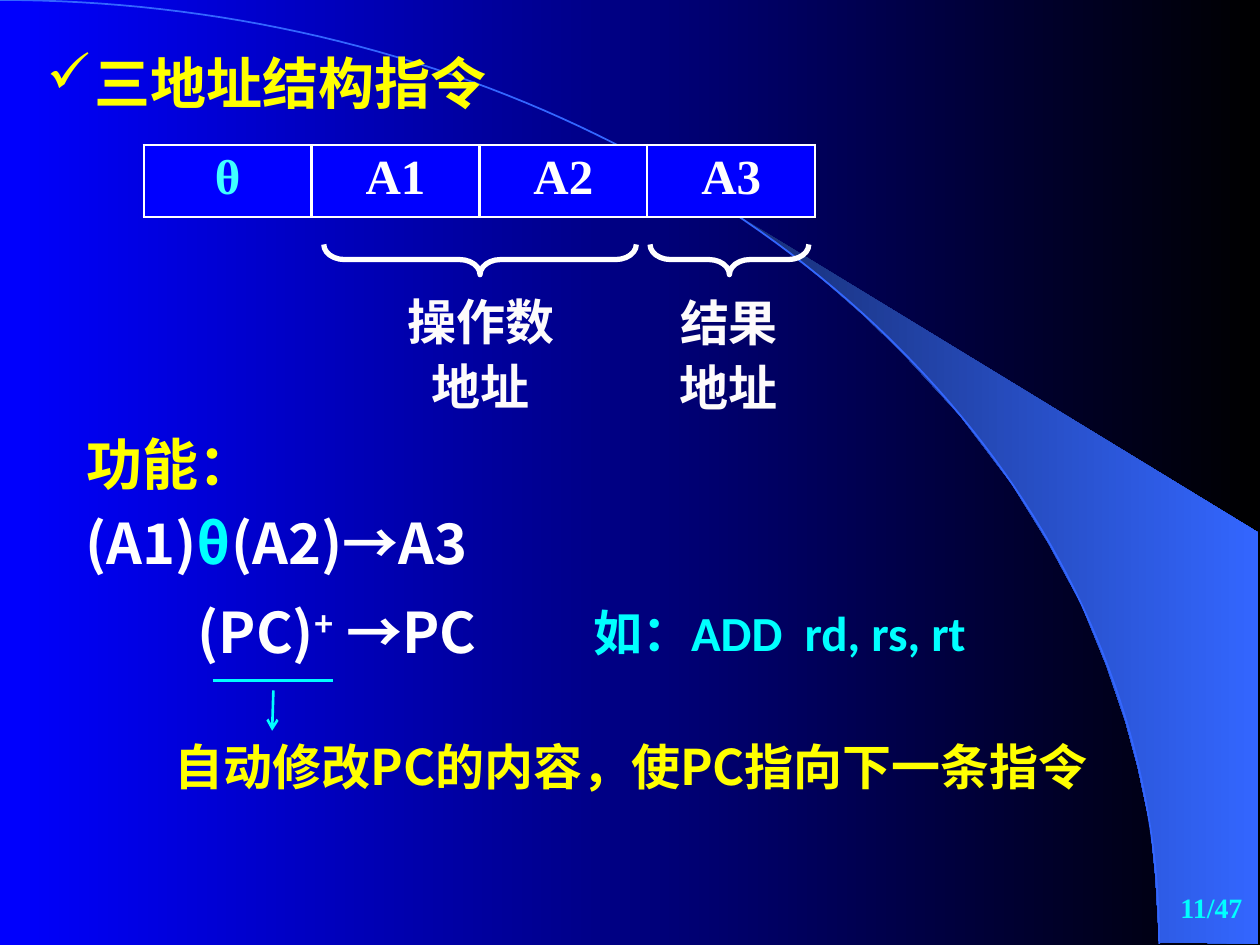
from math import cos, pi, sin

from lxml.etree import SubElement
from pptx import Presentation
from pptx.dml.color import RGBColor
from pptx.enum.shapes import MSO_CONNECTOR, MSO_SHAPE
from pptx.enum.text import MSO_ANCHOR as Anchor, MSO_AUTO_SIZE as AutoSize, PP_ALIGN as Align
from pptx.oxml.ns import qn
from pptx.util import Inches, Pt

SANS, SERIF = "Noto Sans CJK SC", "Times New Roman"
BLUE, SKY, WHITE, YELLOW, CYAN = "0000FF", "3366FF", "FFFFFF", "FFFF00", "00FFFF"
WEDGE = [(9.2, 7.48), (9.99, 7.49), (9.99, 4.23), (5.89, 1.73), (6.24, 1.99), (6.53, 2.22),
         (6.85, 2.5), (7.16, 2.8), (7.62, 3.3), (8.03, 3.84), (8.32, 4.31), (8.58, 4.79),
         (8.78, 5.28), (8.93, 5.72), (9.03, 6.09), (9.13, 6.56), (9.17, 6.96), (9.2, 7.48)]


def rgb(value):
    """Turn a hex string into a colour."""
    return RGBColor.from_string(value)


def set_gradient(fill, start, end):
    """Fill from left to right with two colours."""
    fill.gradient()
    fill.gradient_angle = 0
    for stop, position, value in zip(fill.gradient_stops, (0, 1), (start, end)):
        stop.position = position
        stop.color.rgb = rgb(value)


def set_line(shape, color, width):
    """Give a shape a plain outline."""
    shape.line.color.rgb = rgb(color)
    shape.line.width = Pt(width)


def style_paragraph(para, size, color, name=SANS, align=Align.LEFT, spacing=1.0):
    """Format a whole paragraph in bold."""
    para.alignment = align
    para.line_spacing = spacing
    para.space_before = Pt(0)
    font = para.font
    font.size, font.bold, font.name = Pt(size), True, name
    font.color.rgb = rgb(color)
    latin = para._p.pPr.find(qn("a:defRPr")).find(qn("a:latin"))
    latin.addnext(latin.makeelement(qn("a:ea"), {"typeface": SANS}))


def set_frame(frame, anchor=Anchor.TOP):
    """Wrap a text frame at its fixed size."""
    frame.word_wrap = True
    frame.auto_size = AutoSize.NONE
    frame.vertical_anchor = anchor


def add_text(page, place, texts, size, color, anchor=Anchor.TOP, **style):
    """Add a one-paragraph text box and return its runs."""
    frame = page.shapes.add_textbox(*map(Inches, place)).text_frame
    set_frame(frame, anchor)
    para = frame.paragraphs[0]
    for text in texts:
        para.add_run().text = text
    style_paragraph(para, size, color, **style)
    return para.runs


def add_heading(page, text):
    """Format the title as a ticked heading in front of the backdrop."""
    title = page.shapes.title
    title.left, title.top, title.width, title.height = map(Inches, (0.27, 0.28, 5.42, 0.69))
    set_frame(title.text_frame)
    title.text_frame.text = text
    para = title.text_frame.paragraphs[0]
    props = para._p.get_or_add_pPr()
    props.set("marL", str(Inches(0.38)))
    props.set("indent", str(Inches(-0.38)))
    SubElement(SubElement(props, qn("a:buClr")), qn("a:srgbClr"), val=YELLOW)
    SubElement(props, qn("a:buChar"), char="✓")
    style_paragraph(para, 32, YELLOW, spacing=1.1)
    page.shapes._spTree.append(title._element)


def add_outline(page, points, close):
    """Draw straight segments through points given in inches."""
    start, *rest = [(Inches(x), Inches(y)) for x, y in points]
    builder = page.shapes.build_freeform(*start)
    builder.add_line_segments(rest, close=close)
    shape = builder.convert_to_shape()
    shape.shadow.inherit = False
    return shape


def add_backdrop(page):
    """Draw the gradient background, the wedge and the quarter ellipse."""
    set_gradient(page.background.fill, BLUE, "000000")
    wedge = add_outline(page, WEDGE, True)
    set_gradient(wedge.fill, "182F76", SKY)
    wedge.line.fill.background()
    steps = 90
    angles = [pi / 2 * step / steps for step in range(steps + 1)]
    arc = add_outline(page, [(9.2 * sin(a), 7.49 * (1 - cos(a))) for a in angles], False)
    arc.fill.background()
    set_line(arc, SKY, 1)


def add_format_table(page, labels):
    """Add the instruction format as a one-row table."""
    place = map(Inches, (1.14, 1.15, 5.33, 0.57))
    table = page.shapes.add_table(1, len(labels), *place).table
    for cell, label in zip(table.rows[0].cells, labels):
        cell.text = label
        color = "40FFFF" if label == "θ" else WHITE
        style_paragraph(cell.text_frame.paragraphs[0], 28, color, SERIF, Align.CENTER)
        props = cell._tc.get_or_add_tcPr()
        for side in ("a:lnL", "a:lnR", "a:lnT", "a:lnB"):
            border = SubElement(props, qn(side), w=str(Pt(1.47)))
            SubElement(SubElement(border, qn("a:solidFill")), qn("a:srgbClr"), val=WHITE)
        cell.fill.solid()
        cell.fill.fore_color.rgb = rgb(BLUE)


def add_brace(page, left, top, length):
    """Add a brace that opens upwards."""
    depth = 0.24
    place = (left + (length - depth) / 2, top - (length - depth) / 2, depth, length)
    brace = page.shapes.add_shape(MSO_SHAPE.LEFT_BRACE, *map(Inches, place))
    brace.rotation = 270
    brace.adjustments[0] = 0.68
    brace.shadow.inherit = False
    brace.fill.background()
    set_line(brace, WHITE, 3)


def add_line(page, start, end, arrow=False):
    """Add a cyan line, with an arrowhead at its end if asked."""
    line = page.shapes.add_connector(MSO_CONNECTOR.STRAIGHT, *map(Inches, start + end))
    set_line(line, CYAN, 1.5)
    if arrow:
        SubElement(line.line._get_or_add_ln(), qn("a:tailEnd"), type="arrow")
    SubElement(line._element.spPr, qn("a:effectLst"))


def main():
    """Build the slide on three-address instructions."""
    deck = Presentation()
    deck.slide_width, deck.slide_height = Inches(10), Inches(7.5)
    page = deck.slides.add_slide(deck.slide_layouts[5])
    add_backdrop(page)
    add_heading(page, "三地址结构指令")
    label = {"size": 28, "color": "FDFBFB", "align": Align.CENTER, "spacing": 1.1}
    add_text(page, (2.99, 2.22, 1.65, 1.13), ["操作数地址"], **label)
    add_text(page, (5.16, 2.23, 1.25, 1.13), ["结果地址"], **label)
    add_brace(page, 2.57, 1.94, 2.48)
    add_brace(page, 5.16, 1.94, 1.26)
    add_format_table(page, ["θ", "A1", "A2", "A3"])

    add_text(page, (0.59, 3.36, 1.67, 0.64), ["功能："], 32, YELLOW, name=SERIF)
    spans = add_text(page, (0.58, 3.99, 3.86, 0.64), ["(A1)", "θ", "(A2)→A3"], 32, WHITE)
    spans[1].font.color.rgb = rgb(CYAN)
    spans = add_text(page, (1.47, 4.69, 3.02, 0.64), ["(PC)", "+", " →PC"], 32, WHITE)
    spans[1]._r.get_or_add_rPr().set("baseline", "30000")
    add_line(page, (1.69, 5.4), (2.64, 5.4))
    add_line(page, (2.17, 5.48), (2.16, 5.8), arrow=True)
    add_text(page, (1.29, 5.8, 7.77, 0.57), ["自动修改PC的内容，使PC指向下一条指令"], 28, YELLOW)
    add_text(page, (4.61, 4.82, 4.25, 0.48), ["如：ADD  rd, rs, rt"], 28, CYAN,
             name="Calibri", spacing=0.8)
    add_text(page, (7.88, 6.95, 2.08, 0.5), ["11/47"], 16, CYAN, Anchor.MIDDLE,
             name=SERIF, align=Align.RIGHT)
    deck.save("out.pptx")


if __name__ == "__main__":
    main()
